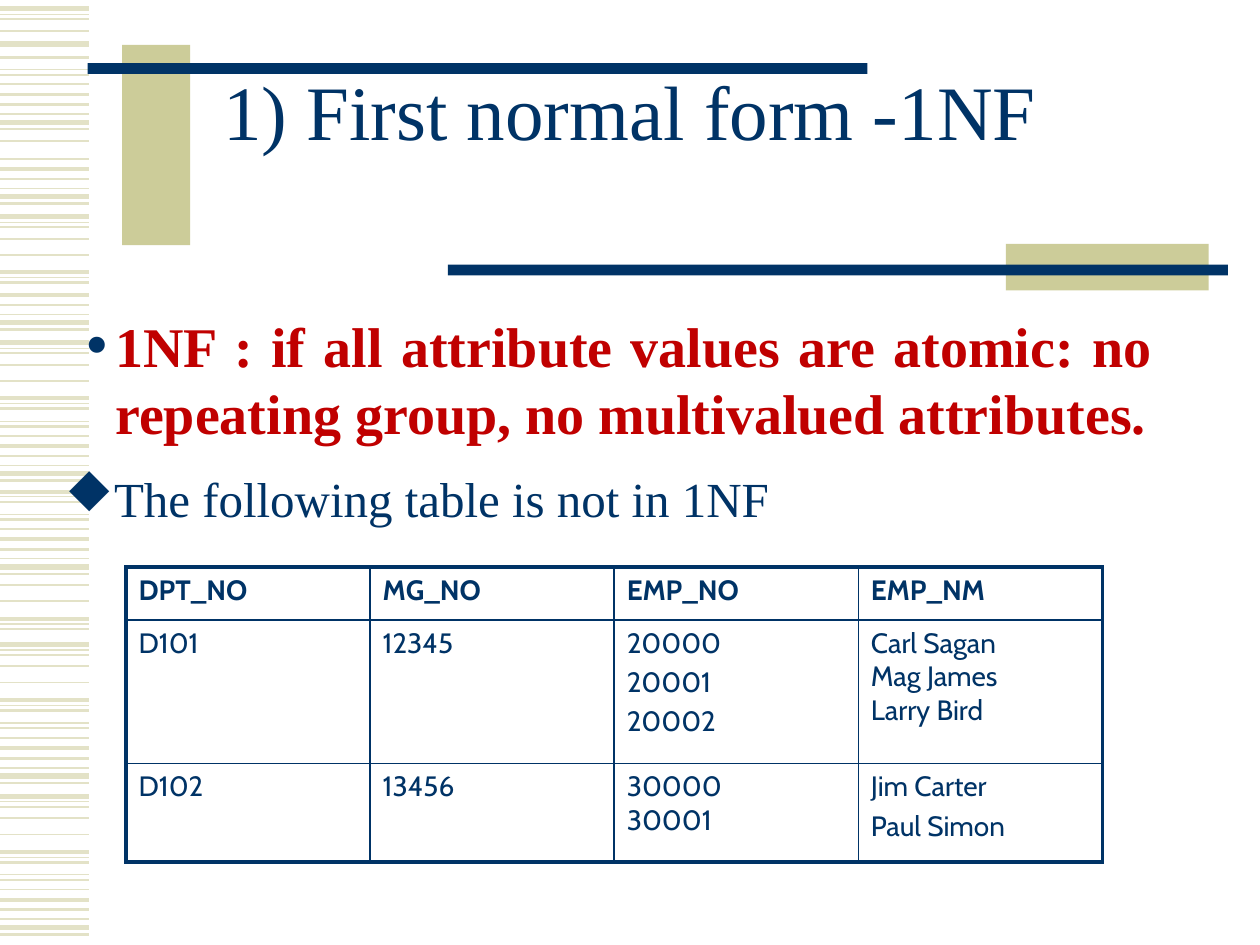
from dataclasses import dataclass

from lxml.etree import SubElement
from pptx import Presentation
from pptx.dml.color import RGBColor
from pptx.enum.shapes import MSO_CONNECTOR, MSO_SHAPE
from pptx.enum.text import MSO_ANCHOR, PP_ALIGN
from pptx.oxml import parse_xml
from pptx.oxml.ns import nsdecls, qn
from pptx.util import Pt

NAVY, KHAKI, PALE, RED = "003366", "CCCC99", "E3E2C7", "C00000"
SERIF, SANS, SYMBOLS = "Times New Roman", "Cabin", "Wingdings"
DIAMOND = "u"


@dataclass(frozen=True)
class Stripe:
    """A margin stripe: offset from its cluster's anchor, and weight."""
    dy: float
    weight: float


@dataclass(frozen=True)
class Cluster:
    """A run of stripes placed at an anchor height."""
    y: float
    stripes: tuple


@dataclass(frozen=True)
class Bar:
    """A filled rectangle of the title decoration."""
    x: float
    y: float
    w: float
    h: float
    color: str


SHORT = (Stripe(-21.6, 1), Stripe(-15.8, 2.25), Stripe(-10.1, 1.5),
         Stripe(-4.7, 0.75), Stripe(0, 3), Stripe(4, 1.5))
LONG = (Stripe(0, 3), Stripe(3.2, 0.75), Stripe(6, 1), Stripe(12.6, 1),
        Stripe(21.8, 1), Stripe(31.9, 2.25), Stripe(34.8, 0.75),
        Stripe(37.7, 1.5), Stripe(44.9, 0.75), Stripe(47.8, 1.5))
CLUSTERS = (
    *(Cluster(y, SHORT) for y in (529.9, 443.5, 324, 270.7, 112.3, 69.8)),
    *(Cluster(y, LONG) for y in (455, 368.2, 195.8)),
    Cluster(184.3, SHORT[1:]),
    Cluster(123.8, LONG[:8]),
    Cluster(321.8, LONG[3:8]),
    Cluster(249.1, LONG[5:]),
    Cluster(-5, LONG[7:]),
    Cluster(5, LONG[:4]),
    Cluster(80.6, (Stripe(0, 1),)),
    Cluster(25.2, (Stripe(0, 3),)),
)
BARS = (
    Bar(69.8, 25.6, 38.9, 114.5, KHAKI),
    Bar(50, 36, 445.7, 6.2, NAVY),
    Bar(574.8, 139.4, 115.9, 26.6, KHAKI),
    Bar(256, 151.2, 445.7, 6.2, NAVY),
)
ROWS = (
    (("DPT_NO",), ("MG_NO",), ("EMP_NO",), ("EMP_NM",)),
    (("D101",), ("12345",), ("20000", "20001", "20002"),
     ("Carl Sagan\vMag James\vLarry Bird",)),
    (("D102",), ("13456",), ("30000\v30001",), ("Jim Carter", "Paul Simon")),
)
ROW_HEIGHTS = (30.2, 82.1, 56.2)
COL_WIDTH = 139.5


def rgb(color: str) -> RGBColor:
    """Return the colour of a hex string."""
    return RGBColor.from_string(color)


def write(tf, *texts: str, size: float, font: str = SERIF, color: str = NAVY,
          bold: bool = False, align=PP_ALIGN.LEFT, before: float = 0,
          spacing: float = 1) -> None:
    """Fill a text frame with one formatted paragraph per text."""
    for i, text in enumerate(texts):
        p = tf.add_paragraph() if i else tf.paragraphs[0]
        p.text = text
        p.alignment = align
        p.space_before = Pt(before)
        p.line_spacing = spacing
        for r in p.runs:
            r.font.size = Pt(size)
            r.font.name = font
            r.font.bold = bold
            r.font.color.rgb = rgb(color)


def add_text(s, x: float, y: float, w: float, h: float, *texts: str,
             anchor=MSO_ANCHOR.TOP, **fmt):
    """Add a wrapping text box and return its text frame."""
    tf = s.shapes.add_textbox(Pt(x), Pt(y), Pt(w), Pt(h)).text_frame
    tf.word_wrap = True
    tf.vertical_anchor = anchor
    write(tf, *texts, **fmt)
    return tf


def add_bullet(p, char: str, font: str, hang: float, percent: int = 100) -> None:
    """Give a paragraph a navy bullet with a hanging indent."""
    pPr = p._p.get_or_add_pPr()
    pPr.set("marL", str(Pt(hang)))
    pPr.set("indent", str(-Pt(hang)))
    bu_clr = SubElement(pPr, qn("a:buClr"))
    SubElement(bu_clr, qn("a:srgbClr"), val=NAVY)
    SubElement(pPr, qn("a:buSzPct"), val=str(percent * 1000))
    bu_font = SubElement(pPr, qn("a:buFont"), typeface=font)
    if font == SYMBOLS:
        bu_font.set("charset", "2")
    SubElement(pPr, qn("a:buChar"), char=char)


def add_stripe(s, y: float, weight: float) -> None:
    """Draw one horizontal stripe in the left margin."""
    c = s.shapes.add_connector(MSO_CONNECTOR.STRAIGHT, 0, Pt(y), Pt(51), Pt(y))
    c.line.color.rgb = rgb(PALE)
    c.line.width = Pt(weight)
    SubElement(c._element.spPr, qn("a:effectLst"))


def add_bar(s, bar: Bar) -> None:
    """Draw one decoration rectangle."""
    sp = s.shapes.add_shape(MSO_SHAPE.RECTANGLE, Pt(bar.x), Pt(bar.y),
                            Pt(bar.w), Pt(bar.h))
    sp.shadow.inherit = False
    sp.fill.solid()
    sp.fill.fore_color.rgb = rgb(bar.color)
    sp.line.fill.background()


def set_borders(cell, **weights: float) -> None:
    """Set the cell borders named L, R, T and B, in that order."""
    tcPr = cell._tc.get_or_add_tcPr()
    for i, (side, weight) in enumerate(weights.items()):
        tcPr.insert(i, parse_xml(
            f'<a:ln{side} {nsdecls("a")} w="{Pt(weight)}"><a:solidFill>'
            f'<a:srgbClr val="{NAVY}"/></a:solidFill></a:ln{side}>'))


def add_employee_table(s) -> None:
    """Add the department table with a heavy outer frame."""
    n_rows, n_cols = len(ROWS), len(ROWS[0])
    table = s.shapes.add_table(n_rows, n_cols, Pt(72), Pt(324),
                               Pt(COL_WIDTH * n_cols), Pt(sum(ROW_HEIGHTS))).table
    table.first_row = table.horz_banding = False
    for col in table.columns:
        col.width = Pt(COL_WIDTH)
    for i, (row, height) in enumerate(zip(ROWS, ROW_HEIGHTS)):
        table.rows[i].height = Pt(height)
        for j, texts in enumerate(row):
            cell = table.cell(i, j)
            write(cell.text_frame, *texts, size=16, font=SANS, bold=i == 0,
                  before=3.2)
            cell.fill.background()
            edges = {"L": j == 0, "R": j == n_cols - 1,
                     "T": i == 0, "B": i == n_rows - 1}
            set_borders(cell, **{side: 2.25 if outer else 1
                                 for side, outer in edges.items()})


def main() -> None:
    """Build the slide and save it."""
    prs = Presentation()
    prs.slide_width, prs.slide_height = Pt(720), Pt(540)
    s = prs.slides.add_slide(prs.slide_layouts[6])
    for cluster in CLUSTERS:
        for stripe in cluster.stripes:
            add_stripe(s, cluster.y + stripe.dy, stripe.weight)
    for bar in BARS:
        add_bar(s, bar)
    add_text(s, 36, 21.6, 648, 90, "1) First normal form -1NF", size=44,
             align=PP_ALIGN.CENTER, spacing=0.85, anchor=MSO_ANCHOR.MIDDLE)
    tf = add_text(s, 30.2, 264.2, 612, 54, "The following table is not in 1NF",
                  size=28, before=5.6)
    add_bullet(tf.paragraphs[0], DIAMOND, SYMBOLS, 27)
    add_employee_table(s)
    tf = add_text(s, 41.8, 174.2, 624.2, 85,
                  "1NF : if all attribute values are atomic: no repeating group, "
                  "no multivalued attributes.",
                  size=32, color=RED, bold=True, align=PP_ALIGN.JUSTIFY, before=6.4)
    add_bullet(tf.paragraphs[0], "•", SERIF, 17, 120)
    prs.save("out.pptx")


if __name__ == "__main__":
    main()
